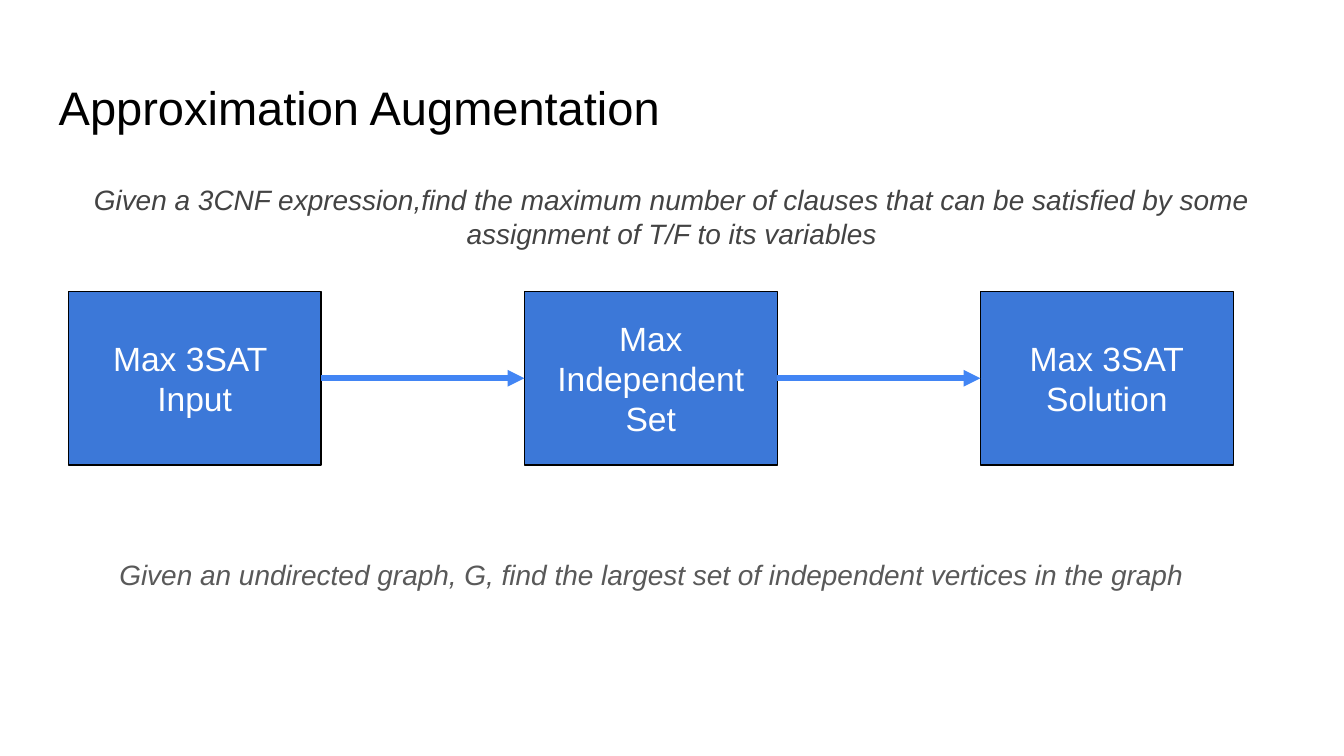
from dataclasses import dataclass

from lxml import etree
from pptx import Presentation
from pptx.dml.color import RGBColor
from pptx.enum import shapes, text
from pptx.oxml import ns
from pptx.shapes.autoshape import Shape
from pptx.slide import Slide
from pptx.text.text import TextFrame
from pptx import util as u

COLOURS = {
    "title": "000000",
    "problem": "434343",
    "reduction": "595959",
    "step_fill": "3C78D8",
    "step_line": "000000",
    "step_text": "FFFFFF",
    "arrow": "4285F4",
}
FONT = "Arial"
INSET = u.Cm(0.25)
TEXT_WIDTH = 23.67
STEP_LEFT, STEP_TOP, STEP_PITCH = 1.29, 5.51, 8.62
STEP_WIDTH, STEP_HEIGHT = 4.78, 3.28
LEFT_SITE, RIGHT_SITE = 1, 3


@dataclass
class Style:
    size: float
    colour: str
    align: text.PP_ALIGN = text.PP_ALIGN.CENTER
    anchor: text.MSO_ANCHOR = text.MSO_ANCHOR.TOP
    italic: bool = False


@dataclass
class Statement:
    wording: str
    left: float
    top: float
    height: float
    style: Style


STEP_STYLE = Style(18, "step_text", anchor=text.MSO_ANCHOR.MIDDLE)
STATEMENTS = [
    Statement("Approximation Augmentation", 0.86, 1.24, 1.6,
              Style(25.2, "title", align=text.PP_ALIGN.LEFT)),
    Statement("Given a 3CNF expression,find the maximum number of clauses that can be "
              "satisfied by some assignment of T/F to its variables", 0.86, 3.2, 1.6,
              Style(15, "problem", italic=True)),
    Statement("Given an undirected graph, G, find the largest set of independent "
              "vertices in the graph", 0.48, 10.29, 2.51,
              Style(15, "reduction", italic=True)),
]
STEPS = [
    ("Max 3SAT ", "Input"),
    ("Max Independent", "Set"),
    ("Max 3SAT", "Solution"),
]


def colour(name: str) -> RGBColor:
    return RGBColor.from_string(COLOURS[name])


def write(frame: TextFrame, lines: tuple[str, ...], style: Style) -> None:
    frame.word_wrap = True
    frame.vertical_anchor = style.anchor
    frame.margin_left = frame.margin_right = INSET
    frame.margin_top = frame.margin_bottom = INSET
    for index, line in enumerate(lines):
        para = frame.add_paragraph() if index else frame.paragraphs[0]
        para.alignment = style.align
        span = para.add_run()
        span.text = line
        span.font.name = FONT
        span.font.size = u.Pt(style.size)
        span.font.italic = style.italic
        span.font.color.rgb = colour(style.colour)


def draw_statement(page: Slide, statement: Statement) -> None:
    box = page.shapes.add_textbox(u.Cm(statement.left), u.Cm(statement.top),
                                  u.Cm(TEXT_WIDTH), u.Cm(statement.height))
    write(box.text_frame, (statement.wording,), statement.style)


def draw_step(page: Slide, index: int, lines: tuple[str, ...]) -> Shape:
    box = page.shapes.add_shape(shapes.MSO_SHAPE.RECTANGLE,
                                u.Cm(STEP_LEFT + index * STEP_PITCH), u.Cm(STEP_TOP),
                                u.Cm(STEP_WIDTH), u.Cm(STEP_HEIGHT))
    box.shadow.inherit = False
    box.fill.solid()
    box.fill.fore_color.rgb = colour("step_fill")
    box.line.color.rgb = colour("step_line")
    box.line.width = u.Pt(0.75)
    write(box.text_frame, lines, STEP_STYLE)
    return box


def draw_arrow(page: Slide, source: Shape, target: Shape) -> None:
    arrow = page.shapes.add_connector(shapes.MSO_CONNECTOR.STRAIGHT, 0, 0, 0, 0)
    arrow.begin_connect(source, RIGHT_SITE)
    arrow.end_connect(target, LEFT_SITE)
    arrow.line.color.rgb = colour("arrow")
    arrow.line.width = u.Pt(3)
    etree.SubElement(arrow.line._get_or_add_ln(), ns.qn("a:tailEnd"), type="triangle")
    etree.SubElement(arrow._element.spPr, ns.qn("a:effectLst"))


def main() -> None:
    deck = Presentation()
    deck.slide_width, deck.slide_height = u.Cm(25.4), u.Cm(14.29)
    page = deck.slides.add_slide(deck.slide_layouts[6])
    for statement in STATEMENTS:
        draw_statement(page, statement)
    boxes = [draw_step(page, index, lines) for index, lines in enumerate(STEPS)]
    for source, target in zip(boxes, boxes[1:]):
        draw_arrow(page, source, target)
    deck.save("out.pptx")


if __name__ == "__main__":
    main()
